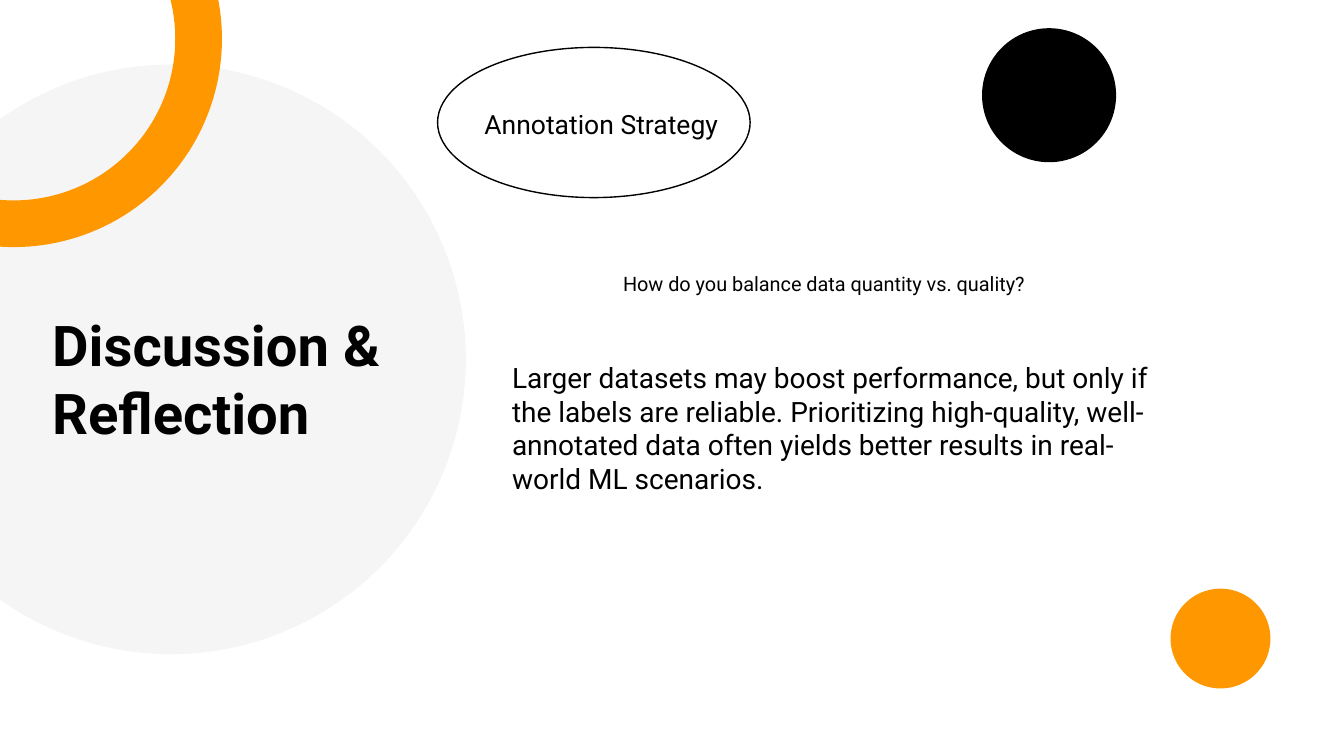
from dataclasses import dataclass

from lxml import etree
from pptx import Presentation
from pptx.dml.color import RGBColor
from pptx.enum.shapes import MSO_SHAPE
from pptx.enum.text import MSO_ANCHOR, PP_ALIGN
from pptx.oxml.ns import qn
from pptx.util import Inches, Pt

OVAL = MSO_SHAPE.OVAL
MIDDLE = MSO_ANCHOR.MIDDLE
LEFT, CENTER = PP_ALIGN.LEFT, PP_ALIGN.CENTER


@dataclass(frozen=True)
class Theme:
    font: str = "Roboto"
    black: RGBColor = RGBColor(0, 0, 0)
    orange: RGBColor = RGBColor(0xFF, 0x98, 0x00)
    title: float = 40.1
    topic: float = 18.9
    answer: float = 20
    question: float = 14.2


theme = Theme()


def add_oval(left, top, width, height, fill=None, line=None, weight=1):
    oval = page.shapes.add_shape(
        OVAL, Inches(left), Inches(top), Inches(width), Inches(height))
    oval.shadow.inherit = False
    if fill is None:
        oval.fill.background()
    else:
        oval.fill.solid()
        oval.fill.fore_color.rgb = fill
    if line is None:
        oval.line.fill.background()
    else:
        oval.line.color.rgb = line
        oval.line.width = Pt(weight)
    return oval


def add_text(left, top, width, height, text, size, align=LEFT, bold=False):
    box = page.shapes.add_textbox(
        Inches(left), Inches(top), Inches(width), Inches(height))
    frame = box.text_frame
    frame.word_wrap = True
    frame.vertical_anchor = MIDDLE
    para = frame.paragraphs[0]
    para.alignment = align
    span = para.add_run()
    span.text = text
    span.font.name = theme.font
    span.font.size = Pt(size)
    span.font.bold = bold
    span.font.color.rgb = theme.black


deck = Presentation()
deck.slide_width = Inches(13.33)
deck.slide_height = Inches(7.5)
page = deck.slides.add_slide(deck.slide_layouts[6])

title_disc = add_oval(-1.23, 0.64, 5.85, 5.85, fill=theme.black)
disc_color = title_disc.fill._xPr.find(qn("a:solidFill"))[0]
etree.SubElement(disc_color, qn("a:alpha")).set("val", "4000")

add_text(0.42, 3.15, 5.06, 1.2, "Discussion & Reflection", theme.title, bold=True)

add_oval(9.74, 0.28, 1.33, 1.33, fill=theme.black)
add_oval(11.61, 5.84, 0.99, 0.99, fill=theme.orange)
add_oval(-1.7, -1.45, 3.67, 3.67, line=theme.orange, weight=33.33)

add_text(4.3, 1.01, 3.33, 0.44, "Annotation Strategy", theme.topic, CENTER)
add_text(
    4.98, 3.2, 6.69, 2.09,
    "Larger datasets may boost performance, but only if the labels are reliable. "
    "Prioritizing high-quality, well-annotated data often yields better results "
    "in real-world ML scenarios.",
    theme.answer)
add_text(
    4.98, 2.62, 6.38, 0.38,
    "How do you balance data quantity vs. quality?", theme.question, CENTER)
add_oval(4.34, 0.47, 3.1, 1.49, line=theme.black)

deck.save("out.pptx")
